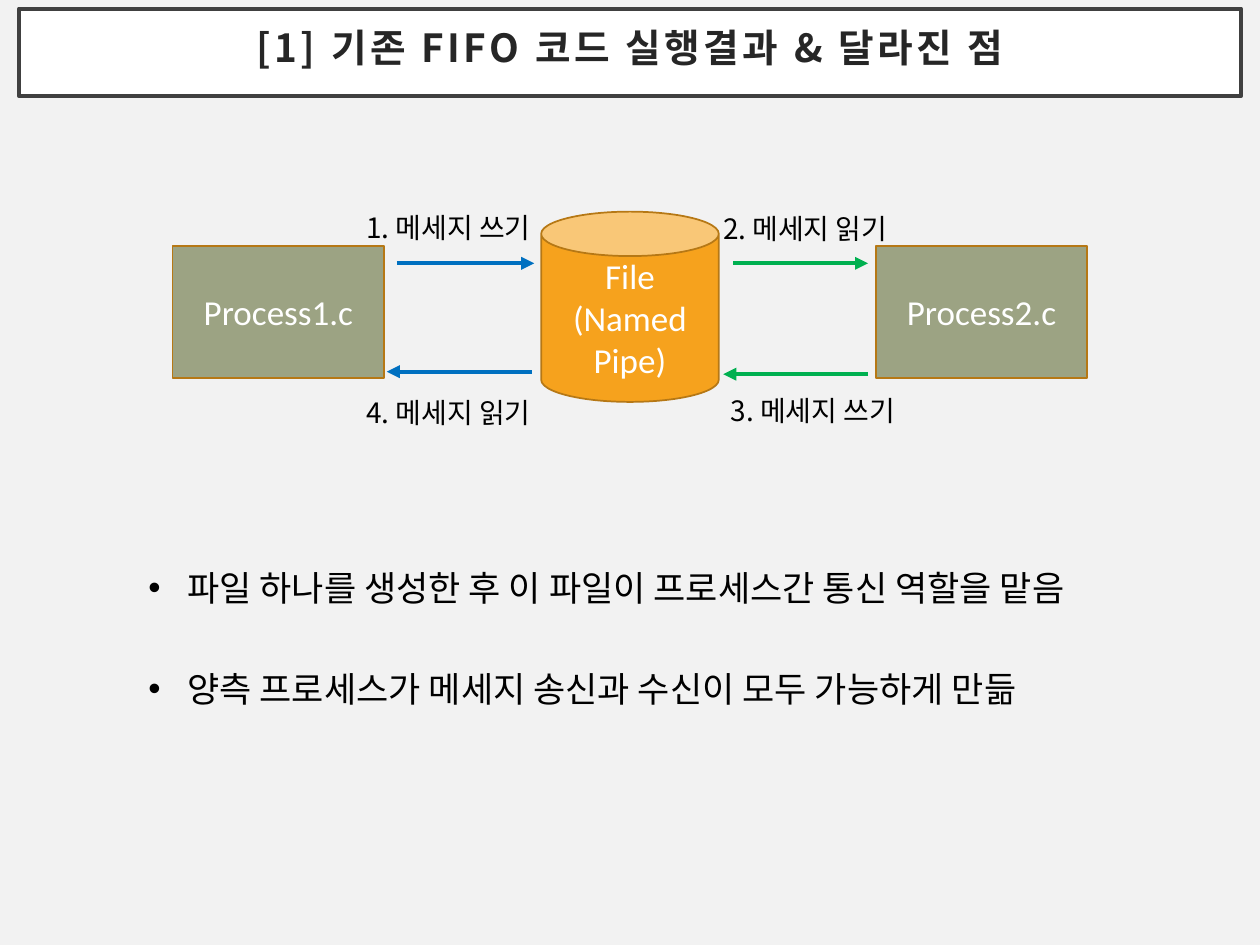
from pptx import Presentation
from pptx.dml.color import RGBColor
from pptx.enum.shapes import MSO_CONNECTOR, MSO_SHAPE
from pptx.enum.text import MSO_ANCHOR, PP_ALIGN
from pptx.oxml.ns import qn
from pptx.util import Inches, Pt
from lxml.etree import SubElement

WIDE, HIGH = 10, 7.5
HANGUL, LATIN = "Noto Sans CJK KR", "Calibri"
COLORS = {
    "back": "F2F2F2", "white": "FFFFFF", "frame": "404040", "title": "262626",
    "black": "000000", "file": "F6A21D", "edge": "B67815", "process": "9CA383",
    "blue": "0070C0", "green": "00B050",
}


def rgb(name):
    return RGBColor.from_string(COLORS[name])


def write(shape, lines, size=16, color="black", font=HANGUL, bold=False,
          align=PP_ALIGN.LEFT, anchor=MSO_ANCHOR.TOP, inset=None,
          leading=None, track=None, bullet=False, gap=0):
    """Fill a shape with one paragraph per line."""
    frame = shape.text_frame
    frame.word_wrap = True
    frame.vertical_anchor = anchor
    if inset is not None:
        frame.margin_left = frame.margin_right = Inches(inset)
        frame.margin_top = frame.margin_bottom = Inches(inset)
    for i, line in enumerate(lines):
        para = frame.paragraphs[0] if i == 0 else frame.add_paragraph()
        para.alignment = align
        para.line_spacing = leading
        para.space_before = Pt(gap if i else 0)
        run = para.add_run()
        run.text = line
        run.font.size, run.font.bold = Pt(size), bold
        run.font.name = font
        run.font.color.rgb = rgb(color)
        props = run.font._element
        SubElement(props, qn("a:ea")).set("typeface", font)
        if track:
            props.set("spc", str(track * 100))
        if bullet:
            marks = para._p.get_or_add_pPr()
            marks.set("marL", str(Inches(0.31)))
            marks.set("indent", str(Inches(-0.31)))
            SubElement(marks, qn("a:buFont")).set("typeface", "Arial")
            SubElement(marks, qn("a:buChar")).set("char", "•")


def place(shape, box):
    shape.left, shape.top, shape.width, shape.height = map(Inches, box)


def paint(shape, fill, edge, width):
    shape.fill.solid()
    shape.fill.fore_color.rgb = rgb(fill)
    shape.line.color.rgb = rgb(edge)
    shape.line.width = Pt(width)


def node(slide, kind, box, lines, fill):
    shape = slide.shapes.add_shape(kind, *map(Inches, box))
    shape.shadow.inherit = False
    paint(shape, fill, "edge", 1)
    write(shape, lines, size=20, color="white", font=LATIN,
          align=PP_ALIGN.CENTER, anchor=MSO_ANCHOR.MIDDLE)


def arrow(slide, start, end, y, color):
    line = slide.shapes.add_connector(
        MSO_CONNECTOR.STRAIGHT, *map(Inches, (start, y, end, y)))
    line.line.color.rgb = rgb(color)
    line.line.width = Pt(2.5)
    SubElement(line.line._get_or_add_ln(), qn("a:tailEnd")).set("type", "triangle")
    SubElement(line._element.spPr, qn("a:effectLst"))


def label(slide, box, lines, **form):
    write(slide.shapes.add_textbox(*map(Inches, box)), lines, leading=1.2, **form)


def header(slide, box):
    title = slide.shapes.title
    place(title, box)
    paint(title, "white", "frame", 2.5)
    write(title, ["[1] 기존 FIFO 코드 실행결과 & 달라진 점"], size=22.1,
          color="title", bold=True, align=PP_ALIGN.CENTER,
          anchor=MSO_ANCHOR.MIDDLE, inset=0.2, leading=0.7, track=2)


def diagram(slide, box):
    """Two processes exchange messages through a file between them."""
    x, y, w, h = box
    side, tall, mid = 1.68, 1.05, 1.41
    top = y + 0.27

    # Processes and the shared file
    node(slide, MSO_SHAPE.CAN, (x + (w - mid) / 2, y, mid, h),
         ["File", "(Named Pipe)"], "file")
    for left, name in ((x, "Process1.c"), (x + w - side, "Process2.c")):
        node(slide, MSO_SHAPE.RECTANGLE, (left, top, side, tall), [name], "process")

    # Steps: arrow start, end and drop, then label offset
    steps = (
        ("1. 메세지 쓰기", 1.78, 2.87, 0.41, "blue", 1.44, -0.11),
        ("2. 메세지 읽기", 4.45, 5.52, 0.41, "green", 4.27, -0.1),
        ("3. 메세지 쓰기", 5.52, 4.37, 1.29, "green", 4.33, 1.34),
        ("4. 메세지 읽기", 2.85, 1.7, 1.27, "blue", 1.44, 1.36),
    )
    for text, start, end, drop, color, dx, dy in steps:
        arrow(slide, x + start, x + end, y + drop, color)
        label(slide, (x + dx, y + dy, 2.99, 0.42), [text])


def notes(slide, box):
    label(slide, box, ["파일 하나를 생성한 후 이 파일이 프로세스간 통신 역할을 맡음",
                       "양측 프로세스가 메세지 송신과 수신이 모두 가능하게 만듦"],
          size=20, bullet=True, gap=29)


def main():
    deck = Presentation()
    deck.slide_width, deck.slide_height = Inches(WIDE), Inches(HIGH)
    slide = deck.slides.add_slide(deck.slide_layouts[5])
    slide.background.fill.solid()
    slide.background.fill.fore_color.rgb = rgb("back")
    header(slide, (0.15, 0.07, WIDE - 0.3, 0.69))
    diagram(slide, (1.37, 1.68, 7.26, 1.51))
    notes(slide, (1.08, 4.38, 8.77, 2.12))
    deck.save("out.pptx")


if __name__ == "__main__":
    main()
